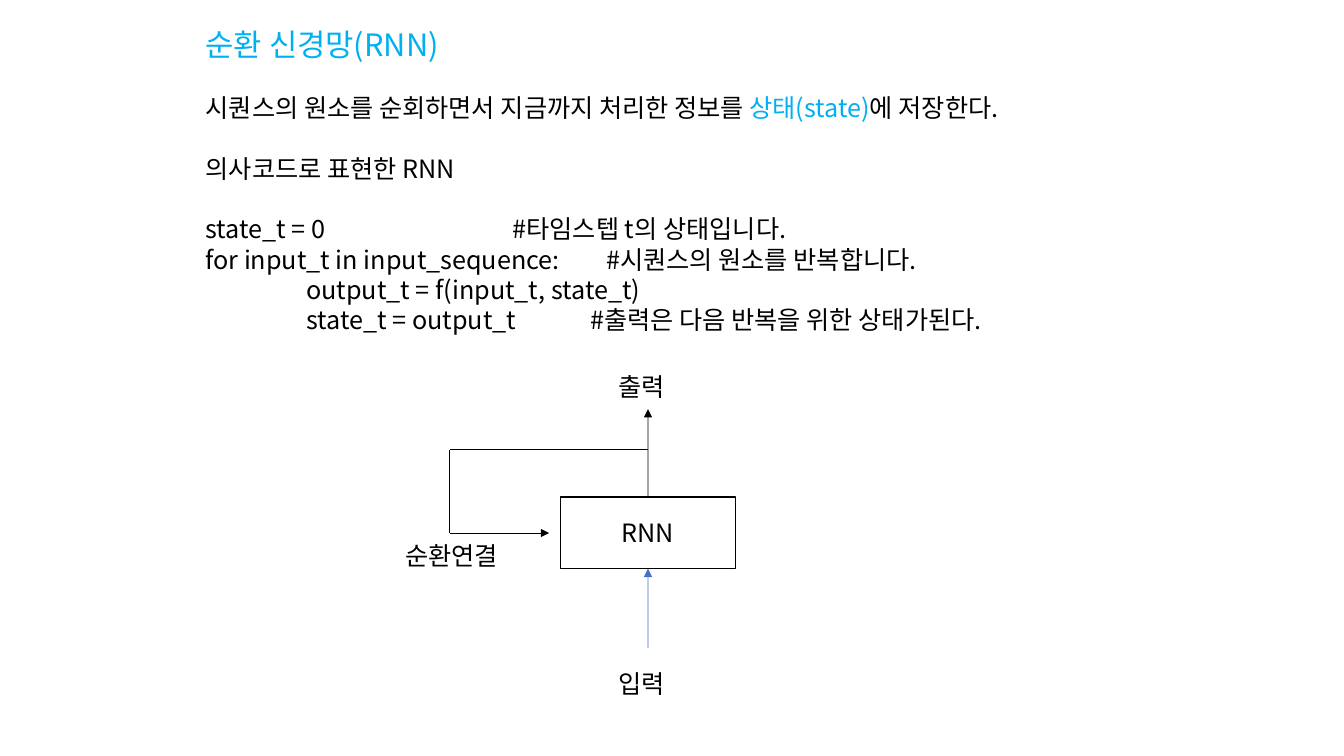
"""Build the slide that introduces recurrent neural networks."""
from dataclasses import dataclass
from typing import Any, Optional

from pptx import Presentation
from pptx.dml.color import RGBColor
from pptx.enum import shapes, text
from pptx.oxml.ns import qn
from pptx.util import Cm, Pt

FONT = "Noto Sans CJK KR"
BLACK, WHITE, CYAN, BLUE = "000000", "FFFFFF", "00B0F0", "4472C4"
BODY_SIZE, TITLE_SIZE, LEADING = 18, 22, 1.2
LEFT, WIDTH = 4.93, 23.39
AXIS, BRANCH_Y, LOOP_X, LOOP_Y = 16.33, 11.33, 11.33, 13.43
RNN_WIDTH, RNN_HEIGHT, RNN_TOP = 4.4, 1.81, 12.52
RNN_BOTTOM = RNN_TOP + RNN_HEIGHT


@dataclass(frozen=True)
class Line:
    """A paragraph with coloured spans, an optional gap above and tab stops."""
    spans: tuple[tuple[str, str], ...]
    gap: bool = False
    tabs: tuple[float, ...] = ()


@dataclass(frozen=True)
class Caption:
    """A text box with its lines."""
    lines: tuple[Line, ...]
    left: float
    top: float
    width: float
    height: float = 1.02


@dataclass(frozen=True)
class Wire:
    """A straight line of the diagram, with the box sides that it joins."""
    start: tuple[float, float]
    end: tuple[float, float]
    color: str = BLACK
    arrow: bool = False
    begin_side: Optional[int] = None
    end_side: Optional[int] = None


def plain(words: str, *tabs: float) -> Line:
    """Make a black line with tab stops."""
    return Line(((words, BLACK),), tabs=tabs)


BODY = (
    Line((("시퀀스의 원소를 순회하면서 지금까지 처리한 정보를 ", BLACK),
          ("상태(state)", CYAN), ("에 저장한다.", BLACK))),
    Line((("의사코드로 표현한 RNN", BLACK),), gap=True),
)
CODE = (
    plain("state_t = 0\t#타임스텝 t의 상태입니다.", 7.74),
    plain("for input_t in input_sequence:\t#시퀀스의 원소를 반복합니다.", 10.1),
    plain("\toutput_t = f(input_t, state_t)", 2.54),
    plain("\tstate_t = output_t\t#출력은 다음 반복을 위한 상태가된다.", 2.54, 9.7),
)
CAPTIONS = (
    Caption(CODE, LEFT, 5.26, WIDTH, 3.4),
    Caption((plain("순환연결"),), 9.96, 13.49, 3.4),
    Caption((plain("출력"),), 15.34, 9.22, 2.59),
    Caption((plain("입력"),), 15.34, 16.71, 1.8),
)
WIRES = (
    Wire((AXIS, RNN_TOP), (AXIS, 10.31), arrow=True, begin_side=0),
    Wire((AXIS, BRANCH_Y), (LOOP_X, BRANCH_Y)),
    Wire((LOOP_X, BRANCH_Y), (LOOP_X, LOOP_Y)),
    Wire((LOOP_X, LOOP_Y), (13.84, LOOP_Y), arrow=True),
    Wire((AXIS, 16.33), (AXIS, RNN_BOTTOM), color=BLUE, arrow=True, end_side=2),
)


def rgb(code: str) -> RGBColor:
    """Turn a hex string into a colour."""
    return RGBColor.from_string(code)


def assign(target: Any, values: dict[str, Any]) -> None:
    """Set every attribute named in the values."""
    for name, value in values.items():
        setattr(target, name, value)


def add_child(parent: Any, tag: str, **attributes: str) -> Any:
    """Append an element with the given attributes."""
    child = parent.makeelement(qn(tag), attributes)
    parent.append(child)
    return child


def write(box: Any, lines: tuple[Line, ...], size: float = BODY_SIZE,
          align: Any = text.PP_ALIGN.LEFT, anchor: Any = text.MSO_ANCHOR.TOP) -> None:
    """Fill a shape with formatted paragraphs."""
    frame = box.text_frame
    assign(frame, {"word_wrap": True, "auto_size": text.MSO_AUTO_SIZE.NONE,
                   "vertical_anchor": anchor})
    pitch = Pt(size * LEADING)
    for index, line in enumerate(lines):
        para = frame.add_paragraph() if index else frame.paragraphs[0]
        properties = para._p.get_or_add_pPr()
        if box.is_placeholder:
            properties.set("marL", "0")
            properties.set("indent", "0")
            add_child(properties, "a:buNone")
        if line.tabs:
            stops = add_child(properties, "a:tabLst")
            for stop in line.tabs:
                add_child(stops, "a:tab", pos=str(int(Cm(stop))), algn="l")
        assign(para, {"alignment": align, "line_spacing": pitch,
                      "space_before": pitch if line.gap else Pt(0),
                      "space_after": Pt(0)})
        for words, color in line.spans:
            span = para.add_run()
            span.text = words
            assign(span.font, {"name": FONT, "size": Pt(size), "bold": False})
            span.font.color.rgb = rgb(color)
            add_child(span.font._element, "a:ea", typeface=FONT)


def place(box: Any, left: float, top: float, width: float, height: float) -> None:
    """Move and size a shape in centimetres."""
    assign(box, {"left": Cm(left), "top": Cm(top),
                 "width": Cm(width), "height": Cm(height)})


def draw_rnn(page: Any) -> Any:
    """Draw the network box."""
    box = page.shapes.add_shape(
        shapes.MSO_SHAPE.RECTANGLE, Cm(AXIS - RNN_WIDTH / 2), Cm(RNN_TOP),
        Cm(RNN_WIDTH), Cm(RNN_HEIGHT))
    box.shadow.inherit = False
    box.fill.solid()
    box.fill.fore_color.rgb = rgb(WHITE)
    box.line.color.rgb = rgb(BLACK)
    box.line.width = Pt(1)
    write(box, (plain("RNN"),), align=text.PP_ALIGN.CENTER,
          anchor=text.MSO_ANCHOR.MIDDLE)
    return box


def draw_wire(page: Any, wire: Wire, box: Any) -> None:
    """Draw one line and join it to the network box where it touches."""
    connector = page.shapes.add_connector(
        shapes.MSO_CONNECTOR.STRAIGHT, *(Cm(value) for value in wire.start + wire.end))
    if wire.begin_side is not None:
        connector.begin_connect(box, wire.begin_side)
    if wire.end_side is not None:
        connector.end_connect(box, wire.end_side)
    connector.line.color.rgb = rgb(wire.color)
    connector.line.width = Pt(0.5)
    if wire.arrow:
        add_child(connector.line._get_or_add_ln(), "a:tailEnd", type="triangle")
    add_child(connector._element.spPr, "a:effectLst")


def draw_caption(page: Any, caption: Caption) -> None:
    """Draw one text box."""
    box = page.shapes.add_textbox(
        Cm(caption.left), Cm(caption.top), Cm(caption.width), Cm(caption.height))
    write(box, caption.lines)


def main() -> None:
    """Build and save the deck."""
    deck = Presentation()
    assign(deck, {"slide_width": Cm(33.87), "slide_height": Cm(19.05)})
    page = deck.slides.add_slide(deck.slide_layouts[1])
    title, body = page.shapes.title, page.placeholders[1]
    place(title, LEFT, 0.51, WIDTH, 1.2)
    write(title, (Line((("순환 신경망(RNN)", CYAN),)),), size=TITLE_SIZE)
    place(body, LEFT, 2.21, WIDTH, 2.6)
    write(body, BODY)
    box = draw_rnn(page)
    for wire in WIRES:
        draw_wire(page, wire, box)
    for caption in CAPTIONS:
        draw_caption(page, caption)
    deck.save("out.pptx")


if __name__ == "__main__":
    main()
